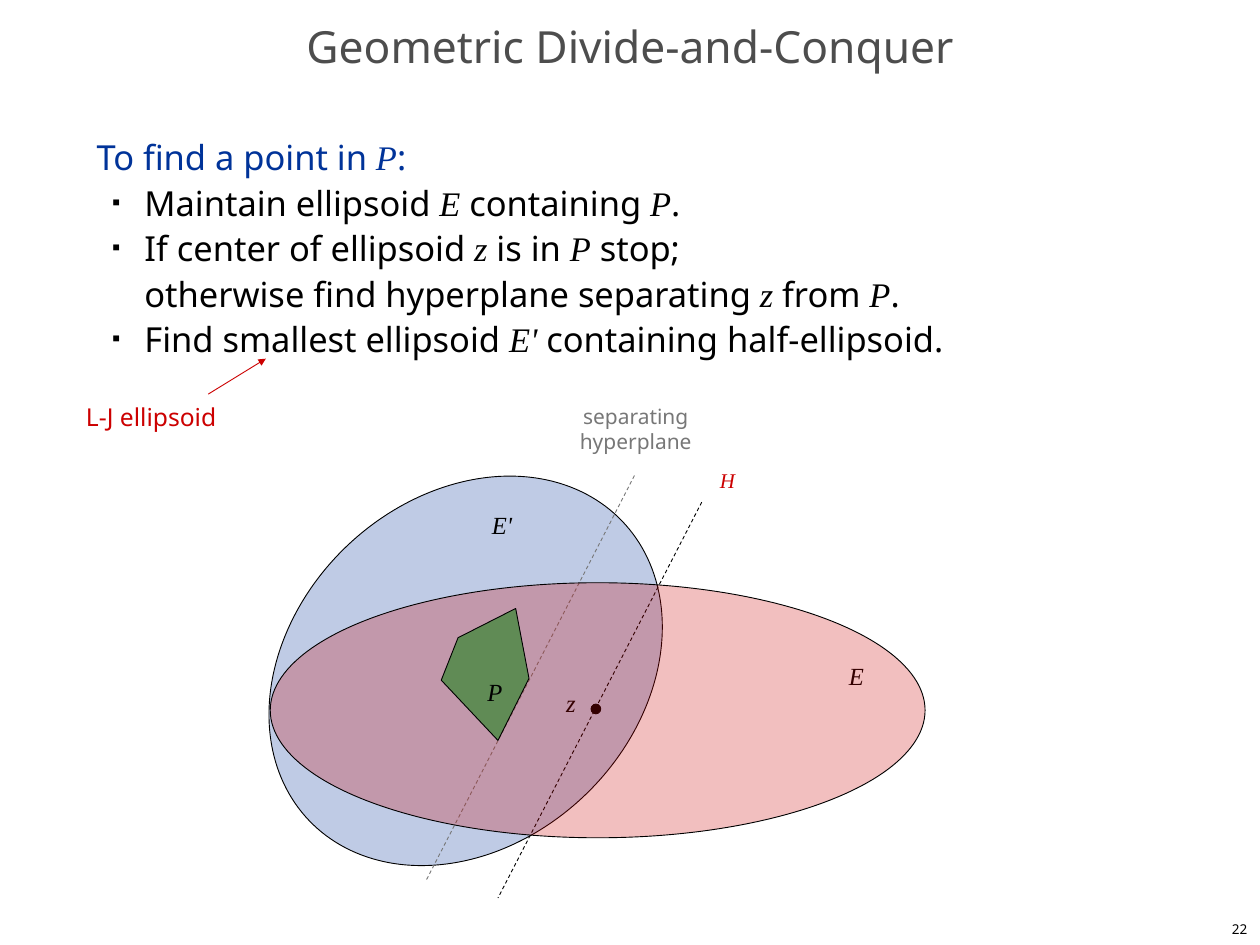
from pptx import Presentation
from pptx.dml.color import RGBColor
from pptx.enum.dml import MSO_LINE
from pptx.enum.shapes import MSO_CONNECTOR, MSO_SHAPE
from pptx.enum.text import MSO_ANCHOR, MSO_AUTO_SIZE, PP_ALIGN
from pptx.oxml.ns import qn
from pptx.util import Inches, Pt
from lxml.etree import SubElement

SANS, SERIF = "Noto Sans", "Times New Roman"
BLACK, BLUE, RED, GRAY, GREEN = "000000", "003399", "CC0000", "777777", "008000"


def color(hex_string):
    """Turn a hex string into a colour."""
    return RGBColor.from_string(hex_string)


def add_runs(paragraph, text, size, hex_string):
    """Add text run by run; parts between asterisks are italic mathematics."""
    for index, part in enumerate(text.split("*")):
        is_math = index % 2 == 1
        for line_index, line in enumerate(part.split("\n")):
            if line_index:
                paragraph.add_line_break()
            if line:
                run = paragraph.add_run()
                run.text = line
                run.font.size = Pt(size)
                run.font.name = SERIF if is_math else SANS
                run.font.italic = is_math
                run.font.color.rgb = color(hex_string)


def set_frame(shape, wrap=True, anchor=MSO_ANCHOR.TOP):
    """Set margins, wrapping and anchor, and return the text frame."""
    frame = shape.text_frame
    frame.auto_size = MSO_AUTO_SIZE.NONE
    frame.word_wrap = wrap
    frame.vertical_anchor = anchor
    frame.margin_left = frame.margin_right = Inches(0.14)
    frame.margin_top = frame.margin_bottom = Inches(0.07)
    return frame


def place(shape, left, top, width, height):
    """Move and size a shape in inches."""
    shape.left, shape.top = Inches(left), Inches(top)
    shape.width, shape.height = Inches(width), Inches(height)


def add_label(slide, text, left, top, width, height, size=20, hex_string=BLACK,
              align=PP_ALIGN.LEFT, anchor=MSO_ANCHOR.TOP):
    """Add a text label that does not wrap."""
    box = slide.shapes.add_textbox(Inches(left), Inches(top), Inches(width), Inches(height))
    paragraph = set_frame(box, False, anchor).paragraphs[0]
    paragraph.alignment = align
    add_runs(paragraph, text, size, hex_string)


def style_shape(shape, hex_string, opacity=100):
    """Give a shape its fill, opacity and thin black outline."""
    shape.shadow.inherit = False
    shape.fill.solid()
    shape.fill.fore_color.rgb = color(hex_string)
    if opacity < 100:
        fill_color = shape.element.spPr.find(".//" + qn("a:srgbClr"))
        SubElement(fill_color, qn("a:alpha"), val=str(opacity * 1000))
    shape.line.color.rgb = color(BLACK)
    shape.line.width = Pt(0.75)


def add_ellipse(slide, left, top, width, height, hex_string, opacity=100, rotation=0):
    """Add an outlined ellipse."""
    ellipse = slide.shapes.add_shape(
        MSO_SHAPE.OVAL, Inches(left), Inches(top), Inches(width), Inches(height))
    style_shape(ellipse, hex_string, opacity)
    ellipse.rotation = rotation


def add_line(slide, start_x, start_y, end_x, end_y, hex_string, dashed=False, arrow=False):
    """Add a thin straight line, dashed or with an arrowhead if asked."""
    line = slide.shapes.add_connector(
        MSO_CONNECTOR.STRAIGHT, Inches(start_x), Inches(start_y), Inches(end_x), Inches(end_y))
    line.line.color.rgb = color(hex_string)
    line.line.width = Pt(0.75)
    if dashed:
        line.line.dash_style = MSO_LINE.DASH
    if arrow:
        SubElement(line.line._get_or_add_ln(), qn("a:tailEnd"), type="triangle")
    SubElement(line.element.spPr, qn("a:effectLst"))


def fill_title(slide, left, top, width, height):
    """Write the title."""
    title = slide.shapes.title
    place(title, left, top, width, height)
    paragraph = set_frame(title, anchor=MSO_ANCHOR.MIDDLE).paragraphs[0]
    paragraph.alignment = PP_ALIGN.CENTER
    paragraph.line_spacing = 0.7
    add_runs(paragraph, "Geometric Divide-and-Conquer", 36, "4D4D4D")


def fill_steps(slide, left, top, width, height):
    """Write the heading and the bulleted steps of the algorithm."""
    body = slide.placeholders[1]
    place(body, left, top, width, height)
    frame = set_frame(body)
    steps = [
        "To find a point in *P*:",
        "Maintain ellipsoid *E* containing *P*.",
        "If center of ellipsoid *z* is in *P* stop;\n"
        "otherwise find hyperplane separating *z* from *P*.",
        "Find smallest ellipsoid *E'* containing half-ellipsoid.",
    ]
    for index, text in enumerate(steps):
        paragraph = frame.add_paragraph() if index else frame.paragraphs[0]
        paragraph.level = 1 if index else 0
        paragraph.line_spacing = Pt(37)
        paragraph.space_before = paragraph.space_after = Pt(0)
        properties = paragraph._p.get_or_add_pPr()
        properties.set("marL", str(Inches(0.54) if index else 0))
        properties.set("indent", str(Inches(-0.36) if index else 0))
        if index:
            bullet_color = SubElement(properties, qn("a:buClr"))
            SubElement(bullet_color, qn("a:srgbClr"), val=BLACK)
            SubElement(properties, qn("a:buSzPct"), val="35000")
            SubElement(properties, qn("a:buChar"), char="■")
        else:
            SubElement(properties, qn("a:buNone"))
        add_runs(paragraph, text, 28, BLACK if index else BLUE)


def draw_ellipsoids(slide, left, top):
    """Draw the two ellipsoids, the polytope and the hyperplanes."""
    add_ellipse(slide, left + 0.31, top + 0.73, 3.89, 4.89, BLUE, 25, 46.2)
    add_label(slide, "*E'*", left + 2.41, top + 1.29, 0.52, 0.48)
    add_label(slide, "*E*", left + 6.44, top + 2.99, 0.46, 0.48)
    add_line(slide, left + 4.92, top + 1.27, left + 2.62, top + 5.74, BLACK, dashed=True)
    add_line(slide, left + 4.16, top + 0.97, left + 1.81, top + 5.54, GRAY, dashed=True)
    add_ellipse(slide, left + 3.67, top + 3.55, 0.11, 0.11, BLACK)
    add_label(slide, "*z*", left + 3.25, top + 3.3, 0.4, 0.48)
    add_label(slide, "separating\nhyperplane", left + 3.39, top + 0.09, 1.57, 0.72,
              17, GRAY, PP_ALIGN.CENTER)
    add_label(slide, "*H*", left + 4.98, top + 0.81, 0.46, 0.43, 17, RED, PP_ALIGN.CENTER)
    add_ellipse(slide, left + 0.05, top + 2.18, 7.39, 2.88, RED, 25)
    corners = [(2.62, 3.96), (2.97, 3.26), (2.82, 2.47), (2.25, 2.76), (2.17, 2.8), (1.98, 3.28)]
    points = [(Inches(left + x), Inches(top + y)) for x, y in corners]
    builder = slide.shapes.build_freeform(*points[0])
    builder.add_line_segments(points[1:], close=True)
    style_shape(builder.convert_to_shape(), GREEN, 50)
    add_label(slide, "*P*", left + 2.36, top + 3.17, 0.46, 0.48)


def draw_note(slide, left, top):
    """Add the red note with its arrow to the last step."""
    add_label(slide, "L-J ellipsoid", left, top + 0.42, 1.85, 0.48, 20, RED)
    add_line(slide, left + 1.52, top + 0.4, left + 2.17, top, RED, arrow=True)


def main():
    """Build and save the slide."""
    presentation = Presentation()
    presentation.slide_width, presentation.slide_height = Inches(14.22), Inches(10.67)
    slide = presentation.slides.add_slide(presentation.slide_layouts[1])
    fill_title(slide, 0, 0.24, 14.22, 0.71)
    fill_steps(slide, 0.95, 1.42, 12.21, 8.41)
    draw_ellipsoids(slide, 3, 4.4)
    draw_note(slide, 0.83, 4.05)
    add_label(slide, "22", 11.26, 10.31, 2.96, 0.36, 11, BLACK, PP_ALIGN.RIGHT, MSO_ANCHOR.MIDDLE)
    presentation.save("out.pptx")


if __name__ == "__main__":
    main()
